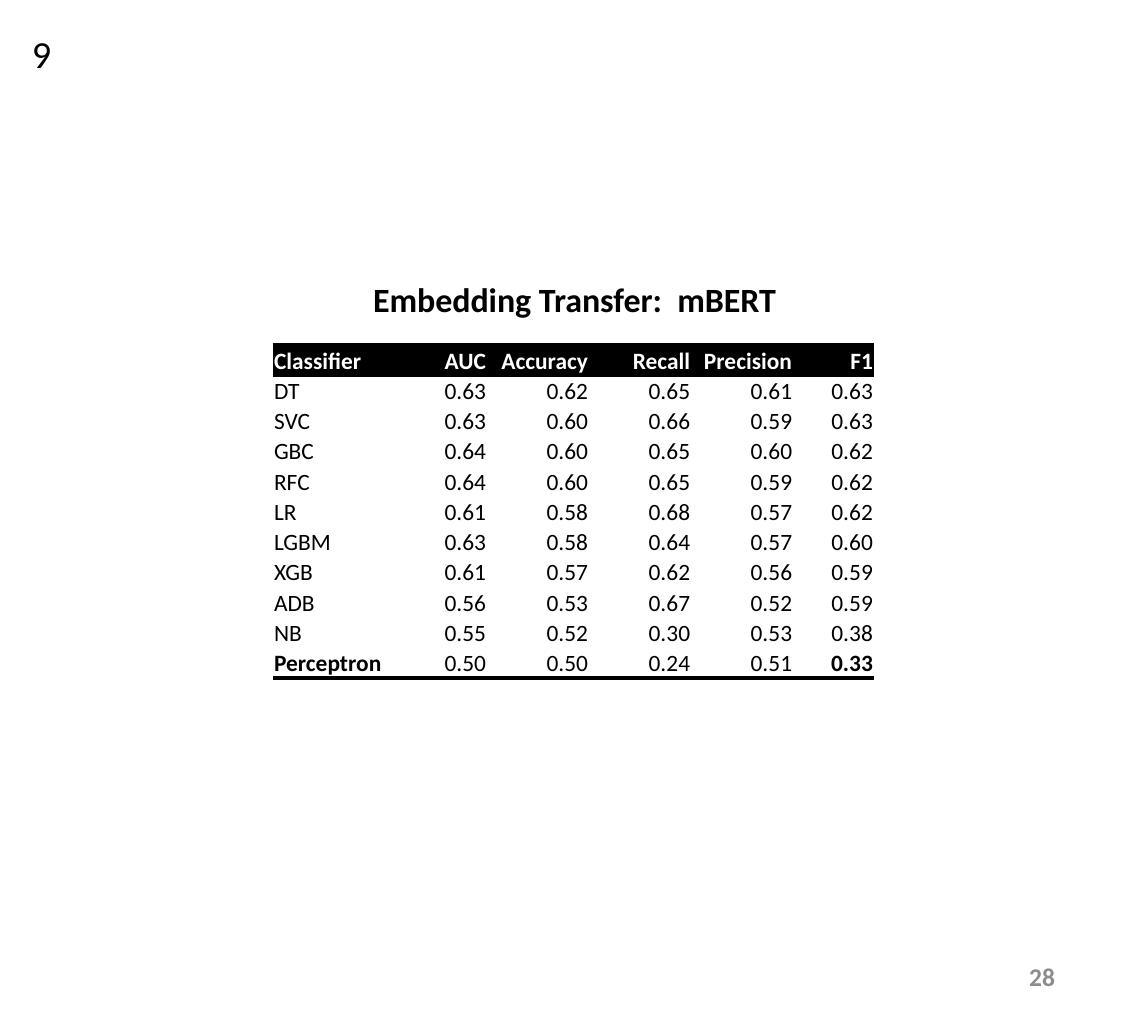
from lxml import etree
from pptx import Presentation
from pptx import util as u
from pptx.dml.color import RGBColor
from pptx.enum import text
from pptx.oxml.ns import qn

COLOURS = {"black": "000000", "white": "FFFFFF", "grey": "8C8C8C"}
NO_GRID_STYLE = "{2D5ABB26-0587-4C30-8999-92F81FD0307C}"


def write(frame, words, size, colour="black", bold=False, align=text.PP_ALIGN.LEFT):
    para = frame.paragraphs[0]
    para.alignment = align
    span = para.add_run()
    span.text = words
    span.font.name = "Calibri"
    span.font.size = u.Pt(size)
    span.font.bold = bold
    span.font.color.rgb = RGBColor.from_string(COLOURS[colour])


def add_border(cell, side):
    line = etree.Element(qn(f"a:{side}"), w=str(u.Pt(2)))
    fill = etree.SubElement(line, qn("a:solidFill"))
    etree.SubElement(fill, qn("a:srgbClr"), val=COLOURS["black"])
    # Borders come before the cell fill
    properties = cell._tc.get_or_add_tcPr()
    properties.insert(len(properties) - 1, line)


deck = Presentation()
deck.slide_width, deck.slide_height = u.Pt(540), u.Pt(481.68)
page = deck.slides.add_slide(deck.slide_layouts[5])

# Title
title = page.shapes.title
title.left, title.top = u.Pt(98.64), u.Pt(127.44)
title.width, title.height = u.Pt(343.44), u.Pt(26.64)
title.text_frame.auto_size = text.MSO_AUTO_SIZE.NONE
title.text_frame.vertical_anchor = text.MSO_ANCHOR.TOP
write(title.text_frame, "Embedding Transfer:  mBERT", 16, bold=True,
      align=text.PP_ALIGN.CENTER)

# Page number
number = page.shapes.add_textbox(u.Pt(381.6), u.Pt(446.4), u.Pt(121.68), u.Pt(25.92))
number.text_frame.word_wrap = True
number.text_frame.vertical_anchor = text.MSO_ANCHOR.MIDDLE
write(number.text_frame, "28", 12, "grey", True, text.PP_ALIGN.RIGHT)

# Corner label
label = page.shapes.add_textbox(u.Pt(7.92), u.Pt(10.8), u.Pt(23.76), u.Pt(28.8))
label.text_frame.word_wrap = False
write(label.text_frame, "9", 18)

# Classifier scores
scores = [
    ("Classifier", "AUC", "Accuracy", "Recall", "Precision", "F1"),
    ("DT", "0.63", "0.62", "0.65", "0.61", "0.63"),
    ("SVC", "0.63", "0.60", "0.66", "0.59", "0.63"),
    ("GBC", "0.64", "0.60", "0.65", "0.60", "0.62"),
    ("RFC", "0.64", "0.60", "0.65", "0.59", "0.62"),
    ("LR", "0.61", "0.58", "0.68", "0.57", "0.62"),
    ("LGBM", "0.63", "0.58", "0.64", "0.57", "0.60"),
    ("XGB", "0.61", "0.57", "0.62", "0.56", "0.59"),
    ("ADB", "0.56", "0.53", "0.67", "0.52", "0.59"),
    ("NB", "0.55", "0.52", "0.30", "0.53", "0.38"),
    ("Perceptron", "0.50", "0.50", "0.24", "0.51", "0.33"),
]
widths = [53, 48, 48, 48, 48, 38]
last_row, last_column = len(scores) - 1, len(widths) - 1
frame = page.shapes.add_table(len(scores), len(widths), u.Pt(128.3), u.Pt(162.4),
                              u.Pt(sum(widths)), u.Pt(14.25 * len(scores)))
table = frame.table
table.first_row = True
table.horz_banding = False
table._tbl.tblPr.find(qn("a:tableStyleId")).text = NO_GRID_STYLE
for column, width in zip(table.columns, widths):
    column.width = u.Pt(width)

for r, row in enumerate(scores):
    table.rows[r].height = u.Pt(14.25)
    header = r == 0
    for c, words in enumerate(row):
        cell = table.cell(r, c)
        cell.margin_left = cell.margin_right = cell.margin_top = u.Pt(0.6)
        cell.margin_bottom = 0
        cell.vertical_anchor = text.MSO_ANCHOR.BOTTOM
        cell.fill.solid()
        cell.fill.fore_color.rgb = RGBColor.from_string(
            COLOURS["black" if header else "white"])
        write(cell.text_frame, words, 11, "white" if header else "black",
              header or (r == last_row and c in (0, last_column)),
              text.PP_ALIGN.RIGHT if c else text.PP_ALIGN.LEFT)
        if header:
            add_border(cell, "lnT")
        if r in (0, last_row):
            add_border(cell, "lnB")

deck.save("out.pptx")
